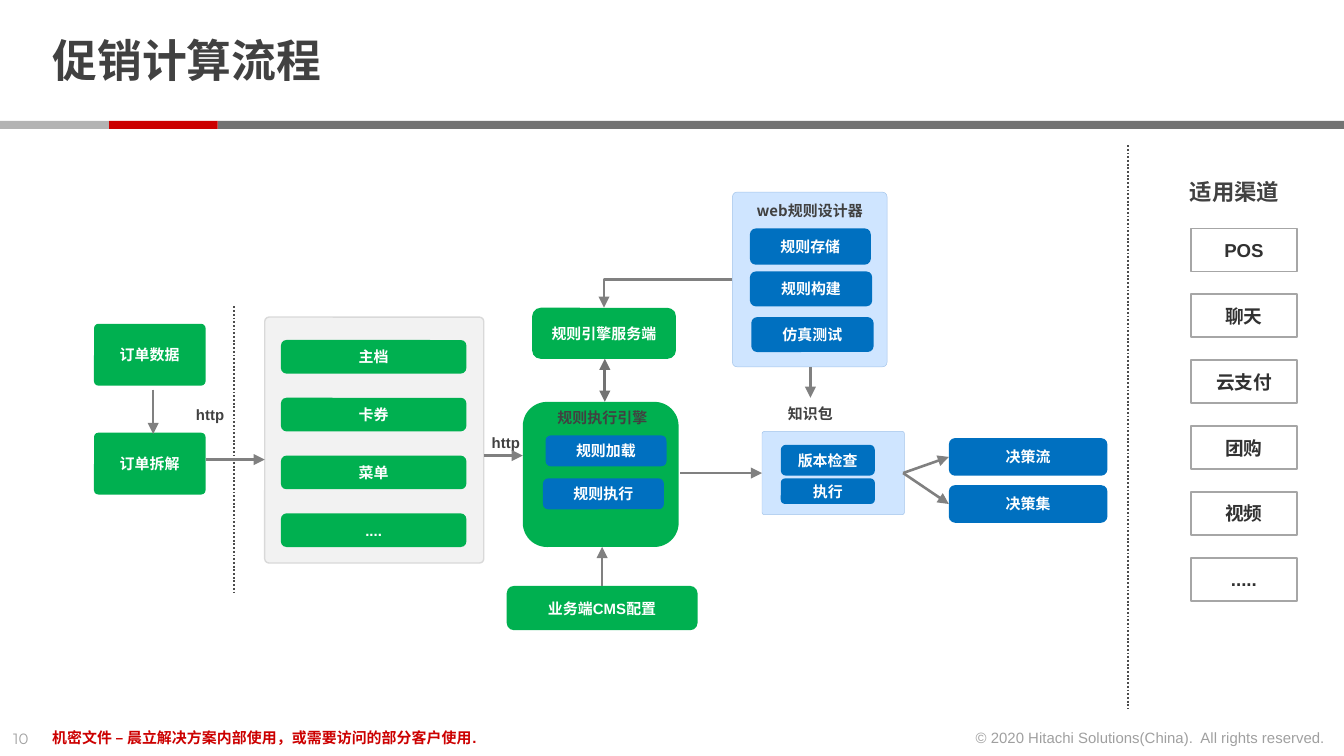
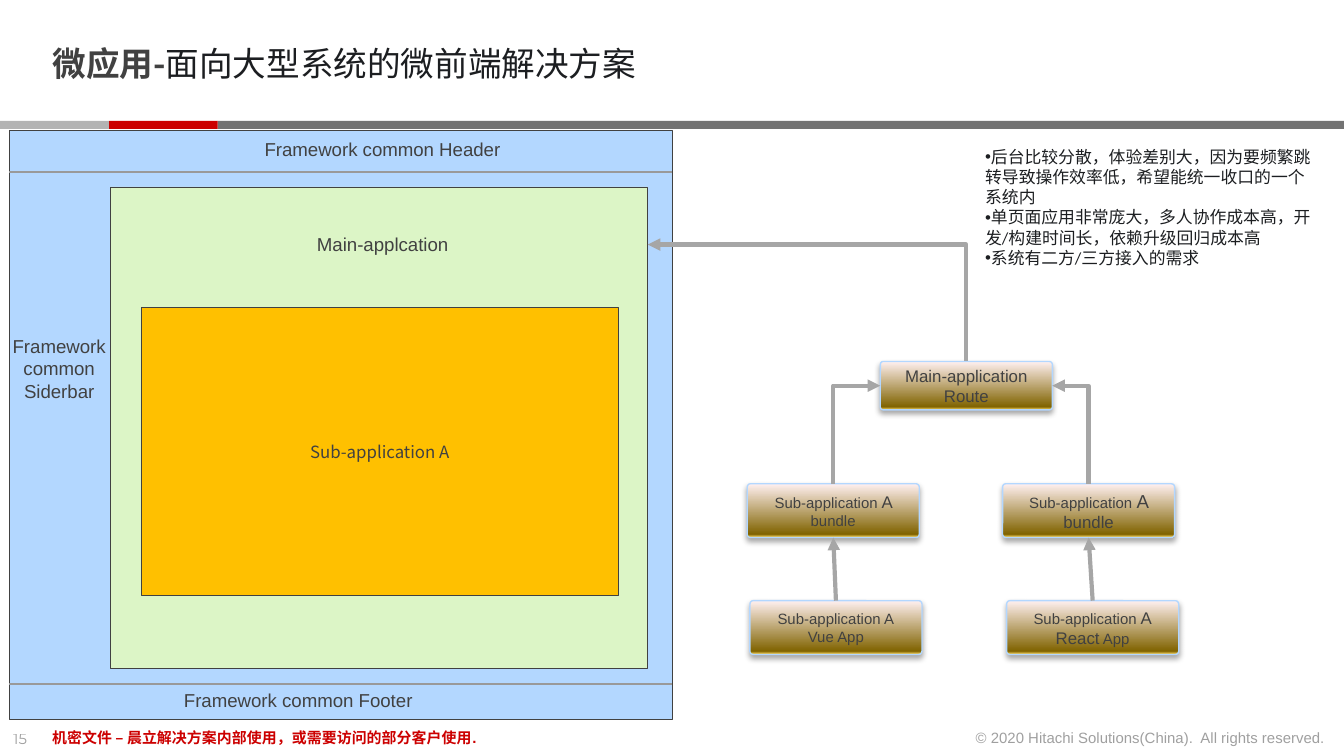
from lxml.etree import SubElement
from pptx import Presentation
from pptx.dml.color import RGBColor
from pptx.enum.dml import MSO_LINE
from pptx.enum.shapes import MSO_CONNECTOR, MSO_SHAPE
from pptx.enum.text import MSO_ANCHOR, MSO_AUTO_SIZE, PP_ALIGN
from pptx.oxml.ns import qn
from pptx.util import Inches, Pt

COLORS = {
    "text": "414141", "dark": "313131", "ink": "1C1E21", "white": "FFFFFF",
    "red": "CC0000", "band": "737373", "light": "B3B3B3", "rule": "999999",
    "green": "00B050", "blue": "0070C0", "sky": "B3D7FF", "edge": "A3C4EA",
    "pale": "F2F2F2", "trim": "D9D9D9", "frame": "A6A6A6", "arrow": "808080",
    "dots": "4C4C4C", "lime": "DCF5C6", "amber": "FFC000", "black": "000000",
    "top": "FFF0F0", "brown": "806300", "gold": "FFDD66",
}
CJK = "Noto Sans CJK SC"
LABEL = {"name": "Arial", "size": 8, "bold": True, "color": "text"}
BLOCK = {**LABEL, "color": "white"}
HEAD = {**LABEL, "name": CJK}
PLAIN = {"name": "Arial", "size": 10, "bold": False, "color": "text"}
FAINT = {**PLAIN, "size": 8, "alpha": 50}
CENTER = {"alignment": PP_ALIGN.CENTER}


def put(item, values):
    for name, value in values.items():
        setattr(item, name, value)


def fade(fill, percent):
    """Make a solid fill partly transparent."""
    color = fill._xPr.find(".//" + qn("a:srgbClr"))
    SubElement(color, qn("a:alpha"), val=str(percent * 1000))


class Deck:
    def __init__(self):
        self.file = Presentation()
        self.file.slide_width = Inches(10)
        self.file.slide_height = Inches(10) * 9 // 16
        self.slide = None

    def color(self, name):
        return RGBColor.from_string(COLORS[name])

    def page(self, layout, number, top, title, look):
        """Start a slide with its title, band and footer."""
        self.slide = self.file.slides.add_slide(self.file.slide_layouts[layout])
        for left, width, fill in ((1.62, 8.38, "band"), (0.81, 0.81, "red"), (0, 0.81, "light")):
            self.box((left, 0.9, width, 0.06), fill, kind="RECTANGLE")
        self.text((0, 5.38, 0.34, 0.24), number, {**FAINT, "name": "Montserrat"}, wrap=False)
        self.text((7.12, 5.37, 2.84, 0.24),
                  "© 2020 Hitachi Solutions(China).  All rights reserved.", FAINT,
                  {"alignment": PP_ALIGN.RIGHT}, wrap=False)
        self.text((0.29, 5.37, 6.74, 0.24),
                  "机密文件 – 晨立解决方案内部使用，或需要访问的部分客户使用.",
                  {**LABEL, "color": "red"})
        head = self.slide.shapes.title
        self.place(head, (0.29, top, 7.71, 0.73))
        put(head.text_frame, {"margin_top": 0, "margin_bottom": 0, "word_wrap": True,
                              "vertical_anchor": MSO_ANCHOR.MIDDLE,
                              "auto_size": MSO_AUTO_SIZE.NONE})
        self.compose(head.text_frame, [title], look,
                     {"alignment": PP_ALIGN.LEFT, "line_spacing": 0.85})

    def place(self, shape, area):
        put(shape, dict(zip(("left", "top", "width", "height"), map(Inches, area))))

    def compose(self, frame, paras, look, form=None, bullet=None):
        """Fill a frame; a paragraph is a string or a list of (text, changes)."""
        if isinstance(paras, str):
            paras = [paras]
        for index, parts in enumerate(paras):
            para = frame.paragraphs[0] if index == 0 else frame.add_paragraph()
            put(para, form or {})
            if bullet:
                props = para._p.get_or_add_pPr()
                for name in ("marL", "indent"):
                    props.set(name, "0")
                SubElement(props, qn("a:buChar"), char=bullet)
            for words, change in [(parts, {})] if isinstance(parts, str) else parts:
                style = {**look, **change}
                run = para.add_run()
                run.text = words
                put(run.font, {"name": style["name"], "size": Pt(style["size"]),
                               "bold": style["bold"]})
                run.font.color.rgb = self.color(style["color"])
                if "alpha" in style:
                    fade(run.font.fill, style["alpha"])
                SubElement(run.font._element, qn("a:ea"), typeface=CJK)

    def text(self, area, paras, look, form=None, wrap=True, **frame):
        box = self.slide.shapes.add_textbox(*map(Inches, area))
        put(box.text_frame, {"word_wrap": wrap, **frame,
                             "auto_size": MSO_AUTO_SIZE.SHAPE_TO_FIT_TEXT})
        self.compose(box.text_frame, paras, look, form)

    def box(self, area, fill=None, paras=(), look=BLOCK, line=None, weight=0.25,
            kind="ROUNDED_RECTANGLE", corner=None, alpha=None):
        shape = self.slide.shapes.add_shape(getattr(MSO_SHAPE, kind), *map(Inches, area))
        shape.shadow.inherit = False
        if corner:
            shape.adjustments[0] = corner
        if fill:
            shape.fill.solid()
            shape.fill.fore_color.rgb = self.color(fill)
        else:
            shape.fill.background()
        if alpha:
            fade(shape.fill, alpha)
        if line:
            shape.line.color.rgb = self.color(line)
            shape.line.width = Pt(weight)
        else:
            shape.line.fill.background()
        put(shape.text_frame, {"vertical_anchor": MSO_ANCHOR.MIDDLE, "word_wrap": True})
        self.compose(shape.text_frame, paras, look, CENTER)
        return shape

    def node(self, left, top, height, paras, size=8):
        """Add a shaded box with a soft shadow."""
        shape = self.box((left, top, 1.28, height), "brown", paras,
                         {**PLAIN, "size": size}, "sky", 0.75, corner=0.06)
        shape.fill.gradient()
        shape.fill.gradient_angle = 270
        props = shape._element.spPr
        stops = props.find(".//" + qn("a:gsLst"))
        stops.clear()
        for spot, name in ((0, "top"), (94, "brown"), (100, "gold")):
            stop = SubElement(stops, qn("a:gs"), pos=str(spot * 1000))
            SubElement(stop, qn("a:srgbClr"), val=COLORS[name])
        glow = SubElement(props.find(qn("a:effectLst")), qn("a:outerShdw"),
                          blurRad=str(Pt(3.1)), dist=str(Pt(1.8)), dir="5400000", rotWithShape="0")
        shade = SubElement(glow, qn("a:srgbClr"), val=COLORS["black"])
        SubElement(shade, qn("a:alpha"), val="35000")
        return shape

    def line(self, start, end, color="arrow", weight=1.4, ends=("tail",), dash=None, bent=False):
        """Join two points, or (shape, site) pairs; a bent line leaves sideways."""
        points = [(0, 0) if hasattr(spot[0], "shape_id") else spot for spot in (start, end)]
        kind = MSO_CONNECTOR.ELBOW if bent else MSO_CONNECTOR.STRAIGHT
        link = self.slide.shapes.add_connector(kind, *map(Inches, points[0] + points[1]))
        for spot, join in ((start, link.begin_connect), (end, link.end_connect)):
            if hasattr(spot[0], "shape_id"):
                join(*spot)
        props = link._element.spPr
        if bent:
            props.find(qn("a:prstGeom")).set("prst", "bentConnector2")
        link.line.color.rgb = self.color(color)
        link.line.width = Pt(weight)
        if dash:
            link.line.dash_style = dash
        for side in ends:
            SubElement(props.find(qn("a:ln")), qn(f"a:{side}End"), type="triangle")
        SubElement(props, qn("a:effectLst"))


def flow(deck):
    deck.page(5, "10", 0.11, "促销计算流程",
              {**LABEL, "name": "Montserrat", "size": 24})
    deck.box((3.89, 2.99, 1.16, 1.08), "green")
    deck.box((5.67, 3.21, 1.06, 0.62), "sky", line="edge", corner=0.03, alpha=63)
    tool = deck.box((5.45, 1.43, 1.15, 1.3), "sky", line="edge", corner=0.03, alpha=63)
    deck.box((1.97, 2.36, 1.63, 1.83), "pale", line="trim", weight=0.75, corner=0.02)
    for left, top, end in ((1.74, 2.28, 4.42), (8.39, 1.08, 5.27)):
        deck.line((left, top), (left, end), "dots", 1, (), MSO_LINE.ROUND_DOT)

    for row, name in enumerate(("主档", "卡券", "菜单", "....")):
        deck.box((2.09, 2.53 + row * 0.43, 1.38, 0.25), "green", name)
    for row, name in enumerate(("POS", "聊天", "云支付", "团购", "视频", ".....")):
        deck.box((8.86, 1.7 + row * 0.49, 0.79, 0.32), None, name,
                 {**LABEL, "size": 10, "color": "dark"}, "frame", 1, "RECTANGLE")
    for top, name in ((2.41, "订单数据"), (3.22, "订单拆解")):
        deck.box((0.7, top, 0.83, 0.46), "green", name, corner=0.07)
    host = deck.box((3.96, 2.29, 1.07, 0.38), "green", "规则引擎服务端")
    deck.box((3.77, 4.36, 1.42, 0.33), "green", "业务端CMS配置")
    for area, name in (
        ((5.58, 1.7, 0.9, 0.27), "规则存储"),
        ((5.58, 2.02, 0.91, 0.26), "规则构建"),
        ((5.59, 2.36, 0.91, 0.26), "仿真测试"),
        ((4.06, 3.24, 0.9, 0.23), "规则加载"),
        ((4.04, 3.56, 0.9, 0.23), "规则执行"),
        ((5.81, 3.31, 0.7, 0.23), "版本检查"),
        ((5.81, 3.56, 0.7, 0.19), "执行"),
        ((7.06, 3.26, 1.18, 0.28), "决策流"),
        ((7.06, 3.61, 1.18, 0.28), "决策集"),
    ):
        deck.box(area, "blue", name)

    deck.text((5.45, 1.45, 1.15, 0.23), "web规则设计器", HEAD, CENTER)
    deck.text((5.59, 2.96, 0.88, 0.23), "知识包", HEAD, CENTER)
    deck.text((8.73, 1.28, 0.91, 0.3), "适用渠道", {**HEAD, "size": 12}, CENTER)
    deck.text((4.05, 2.99, 0.9, 0.23), "规则执行引擎", LABEL)
    for left, top in ((1.36, 2.97), (3.56, 3.18)):
        deck.text((left, top, 0.51, 0.23), "http", LABEL)

    for start, end in (
        ((1.14, 2.9), (1.14, 3.23)),
        ((1.53, 3.42), (1.97, 3.42)),
        ((3.6, 3.39), (3.89, 3.39)),
        ((5.06, 3.52), (5.67, 3.52)),
        ((4.48, 4.36), (4.48, 4.07)),
        ((6.72, 3.52), (7.06, 3.4)),
        ((6.72, 3.52), (7.06, 3.75)),
        ((6.03, 2.73), (6.03, 2.96)),
    ):
        deck.line(start, end)
    deck.line((4.5, 2.67), (4.5, 2.99), "band", 1.5, ("head", "tail"))
    deck.line((tool, 1), (host, 0), bent=True)


def micro(deck):
    soft = {"name": "Calibri", "color": "ink", "bold": False}
    deck.page(1, "15", 0.13, [("微应用-", {}), ("面向大型系统的微前端解决方案", soft)],
              {**HEAD, "size": 18})
    for area, fill, name in (
        ((0.07, 0.97, 4.93, 4.38), "sky", ()),
        ((0.82, 1.39, 4, 3.58), "lime", ()),
        ((1.05, 2.29, 3.55, 2.14), "amber", "Sub-application A"),
    ):
        deck.box(area, fill, name, {**PLAIN, "name": CJK, "size": 9}, "text", kind="RECTANGLE")
    for top in (1.28, 5.09):
        deck.line((0.07, top), (5, top), "rule", 1, ())
    for area, name in (
        ((1.87, 0.98, 1.97, 0.27), "Framework common Header"),
        ((1.27, 5.08, 1.92, 0.27), "Framework common Footer"),
        ((2.26, 1.68, 1.19, 0.27), "Main-applcation"),
    ):
        deck.text(area, name, PLAIN, wrap=False)
    deck.text((0, 2.44, 0.88, 0.61), ["Framework", "common", "Siderbar"], PLAIN, CENTER,
              margin_left=0, margin_right=0)

    nine, ten = {"size": 9}, {"size": 10}
    sub = ("Sub-application", {})
    route = deck.node(6.55, 2.69, 0.36, ["Main-application", "Route"], 9)
    left = deck.node(5.56, 3.6, 0.4, [[sub, (" A ", nine), ("bundle", {})]])
    right = deck.node(7.46, 3.6, 0.4, [[sub, (" A ", ten), ("bundle", nine)]])
    vue = deck.node(5.58, 4.47, 0.4, ["Sub-application A", "Vue App"])
    react = deck.node(7.49, 4.47, 0.4, [[sub, (" A", nine)], [("React", nine), (" App", {})]])
    for start, end, side, bent in (
        ((route, 1), (left, 0), "head", True),
        ((route, 3), (right, 0), "head", True),
        ((4.82, 1.82), (route, 0), "head", True),
        ((vue, 0), (left, 2), "tail", False),
        ((react, 0), (right, 2), "tail", False),
    ):
        deck.line(start, end, "frame", 2.25, (side,), bent=bent)

    body = deck.slide.placeholders[1]
    deck.place(body, (7.23, 1.04, 2.62, 1.31))
    body.fill.solid()
    body.fill.fore_color.rgb = deck.color("white")
    put(body.text_frame, {"word_wrap": True, "auto_size": MSO_AUTO_SIZE.NONE})
    deck.compose(body.text_frame, [
        "后台比较分散，体验差别大，因为要频繁跳转导致操作效率低，希望能统一收口的一个系统内",
        "单页面应用非常庞大，多人协作成本高，开发/构建时间长，依赖升级回归成本高",
        "系统有二方/三方接入的需求",
    ], {**soft, "size": 9}, {"space_before": Pt(0)}, "•")


def main():
    deck = Deck()
    flow(deck)
    micro(deck)
    deck.file.save("out.pptx")


if __name__ == "__main__":
    main()
